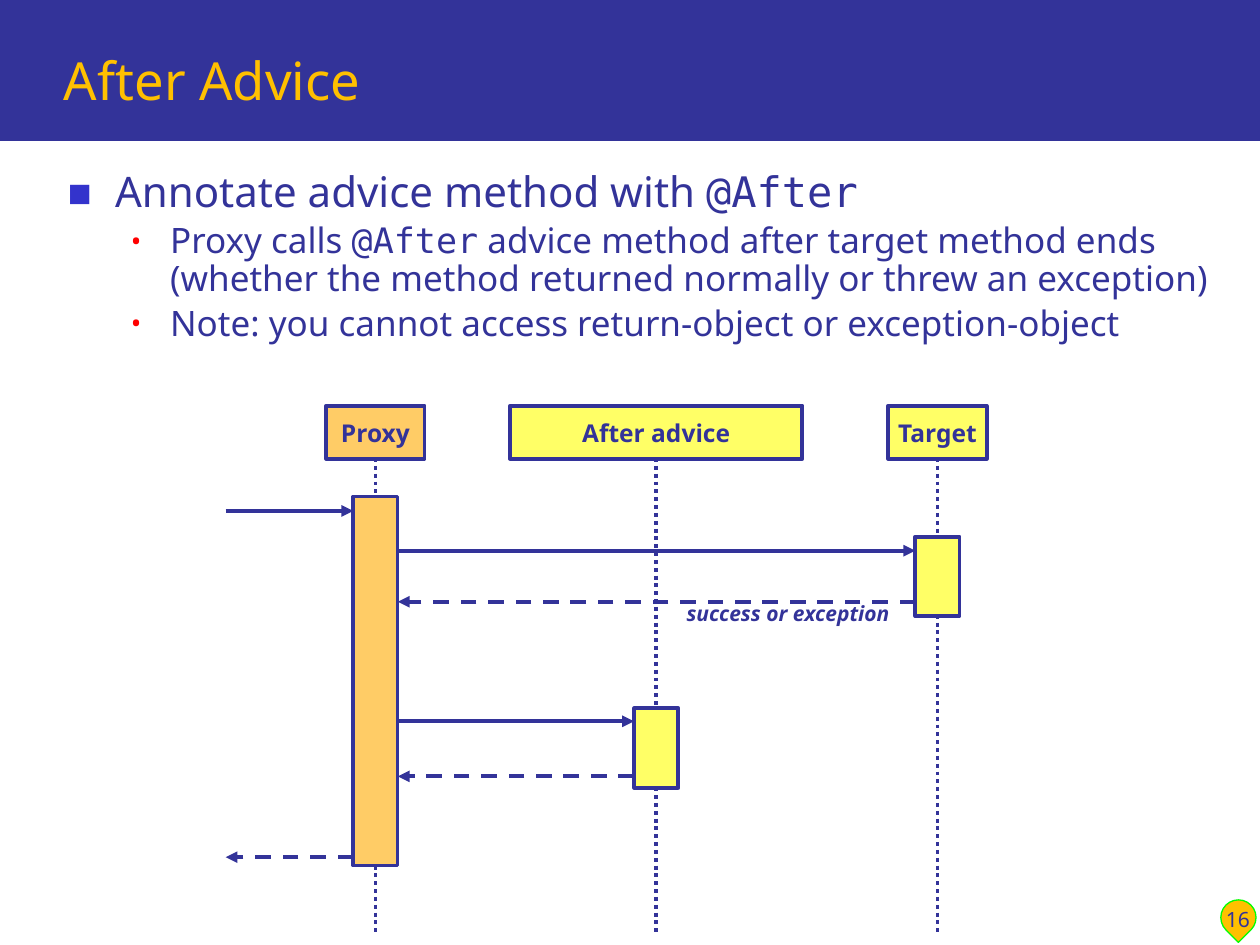
from lxml.etree import SubElement
from pptx import Presentation
from pptx.dml.color import RGBColor
from pptx.enum.dml import MSO_LINE_DASH_STYLE as Dash
from pptx.enum.shapes import MSO_CONNECTOR_TYPE as Connector, MSO_SHAPE as Shape
from pptx.enum.text import MSO_ANCHOR as Anchor, PP_ALIGN as Align
from pptx.oxml.ns import qn
from pptx.util import Cm, Pt

COLORS = {
    "ink": "333399", "title": "FFC000", "orange": "FFCC66", "yellow": "FFFF66",
    "green": "00FF00", "square": "3333CC", "dot": "FF0000",
}
SANS, MONO = "Noto Sans", "DejaVu Sans Mono"


def rgb(name):
    return RGBColor.from_string(COLORS[name])


class SlideBuilder:
    """Holds the drawing style and the current slide."""

    line_width = Pt(2.25)

    def __init__(self, page):
        self.shapes = page.shapes

    def style(self, span, size, color="ink", font=SANS, bold=False, italic=False):
        span.font.size, span.font.name = Pt(size), font
        span.font.bold, span.font.italic = bold, italic
        span.font.color.rgb = rgb(color)

    def shape(self, kind, left, top, width, height, fill, line=None, line_width=None):
        box = self.shapes.add_shape(kind, Cm(left), Cm(top), Cm(width), Cm(height))
        box.shadow.inherit = False
        box.fill.solid()
        box.fill.fore_color.rgb = rgb(fill)
        if line:
            box.line.color.rgb = rgb(line)
            box.line.width = line_width or self.line_width
        else:
            box.line.fill.background()
        return box

    def head(self, text, center, top, width, height, fill):
        box = self.shape(Shape.RECTANGLE, center - width / 2, top, width, height, fill, "ink")
        frame = box.text_frame
        frame.text = text
        frame.word_wrap = False
        frame.vertical_anchor = Anchor.MIDDLE
        frame.paragraphs[0].alignment = Align.CENTER
        self.style(frame.paragraphs[0].runs[0], 14, bold=True)

    def activation(self, center, top, height, fill):
        width = 0.89
        self.shape(Shape.RECTANGLE, center - width / 2, top, width, height, fill, "ink")

    def text(self, text, left, top, width, height, size, anchor=Anchor.TOP,
             align=Align.LEFT, wrap=True, **look):
        box = self.shapes.add_textbox(Cm(left), Cm(top), Cm(width), Cm(height))
        frame = box.text_frame
        frame.text = text
        frame.word_wrap = wrap
        frame.vertical_anchor = anchor
        frame.paragraphs[0].alignment = align
        self.style(frame.paragraphs[0].runs[0], size, **look)
        return frame

    def bullets(self, left, top, width, height, items, levels):
        box = self.shapes.add_textbox(Cm(left), Cm(top), Cm(width), Cm(height))
        frame = box.text_frame
        frame.word_wrap = True
        for index, (level, parts) in enumerate(items):
            para = frame.add_paragraph() if index else frame.paragraphs[0]
            look = levels[level]
            para.level = level
            para.line_spacing = 0.9
            para.space_before = Pt(look["before"])
            for text, font in parts:
                span = para.add_run()
                span.text = text
                self.style(span, look["size"], font=font)
            self.bullet(para, look)

    def bullet(self, para, look):
        props = para._p.get_or_add_pPr()
        props.set("marL", str(Cm(look["margin"])))
        props.set("indent", str(-Cm(look["hang"])))
        color = SubElement(props, qn("a:buClr"))
        SubElement(color, qn("a:srgbClr"), val=COLORS[look["color"]])
        SubElement(props, qn("a:buSzPct"), val=str(look["percent"] * 1000))
        SubElement(props, qn("a:buFont"), typeface=SANS)
        SubElement(props, qn("a:buChar"), char=look["char"])

    def line(self, x1, y1, x2, y2, dash=None, arrow=False):
        line = self.shapes.add_connector(Connector.STRAIGHT, Cm(x1), Cm(y1), Cm(x2), Cm(y2))
        line.line.color.rgb = rgb("ink")
        line.line.width = self.line_width
        if dash:
            line.line.dash_style = dash
        if arrow:
            SubElement(line.line._get_or_add_ln(), qn("a:tailEnd"), type="triangle")
        SubElement(line._element.spPr, qn("a:effectLst"))

    def message(self, start, end, y, reply=False):
        self.line(start, y, end, y, Dash.DASH if reply else None, arrow=True)


def main():
    deck = Presentation()
    deck.slide_width, deck.slide_height = Cm(25.4), Cm(19.05)
    page = deck.slides.add_slide(deck.slide_layouts[6])
    build = SlideBuilder(page)

    # Title band and page number
    build.shape(Shape.RECTANGLE, 0, 0, 25.4, 2.84, "ink")
    marker = build.shape(Shape.TEAR, 24.61, 18.14, 0.71, 0.71, "title", "green", Pt(0.75))
    marker.rotation = 135
    build.text("After Advice", 1.04, 0.43, 23.75, 1.93, 30, Anchor.BOTTOM, color="title")
    number = build.text("16", 24.23, 17.63, 1.45, 1.27, 12, Anchor.BOTTOM, Align.CENTER)
    number.margin_left = number.margin_right = 0

    # Bullet text
    levels = [
        dict(size=24, before=9.6, margin=0.95, hang=0.95, char="■", color="square", percent=60),
        dict(size=20, before=4, margin=2.06, hang=0.79, char="•", color="dot", percent=80),
    ]
    items = [
        (0, [("Annotate advice method with ", SANS), ("@After", MONO)]),
        (1, [("Proxy calls ", SANS), ("@After", MONO),
             (" advice method after target method ends "
              "(whether the method returned normally or threw an exception)", SANS)]),
        (1, [("Note: you cannot access return-object or exception-object", SANS)]),
    ]
    build.bullets(1.12, 3.33, 23.57, 13.67, items, levels)

    # Lifelines with their heads
    proxy, advice, target = 7.57, 13.23, 18.9
    for center in (proxy, advice, target):
        build.line(center, 8.76, center, 18.8, Dash.ROUND_DOT)
    for name, center, width, fill in [
        ("Proxy", proxy, 1.98, "orange"),
        ("After advice", advice, 5.89, "yellow"),
        ("Target", target, 1.98, "yellow"),
    ]:
        build.head(name, center, 8.18, width, 1.07, fill)

    # Messages between caller, proxy, target and advice
    caller, half = 4.55, 0.45
    for start, end, y, reply in [
        (caller, proxy - half, 10.3, False),
        (proxy + half, target - half, 11.1, False),
        (target - half, proxy + half, 12.13, True),
        (proxy + half, advice - half, 14.54, False),
        (advice - half, proxy + half, 15.65, True),
        (proxy - half, caller, 17.28, True),
    ]:
        build.message(start, end, y, reply)

    # Activation bars
    build.activation(advice, 14.28, 1.6, "yellow")
    build.activation(target, 10.82, 1.6, "yellow")
    build.activation(proxy, 10.01, 7.44, "orange")

    # Reply label
    build.text("success or exception", 13.59, 11.99, 4.9, 0.76, 12, wrap=False,
               bold=True, italic=True)

    deck.save("out.pptx")


if __name__ == "__main__":
    main()
